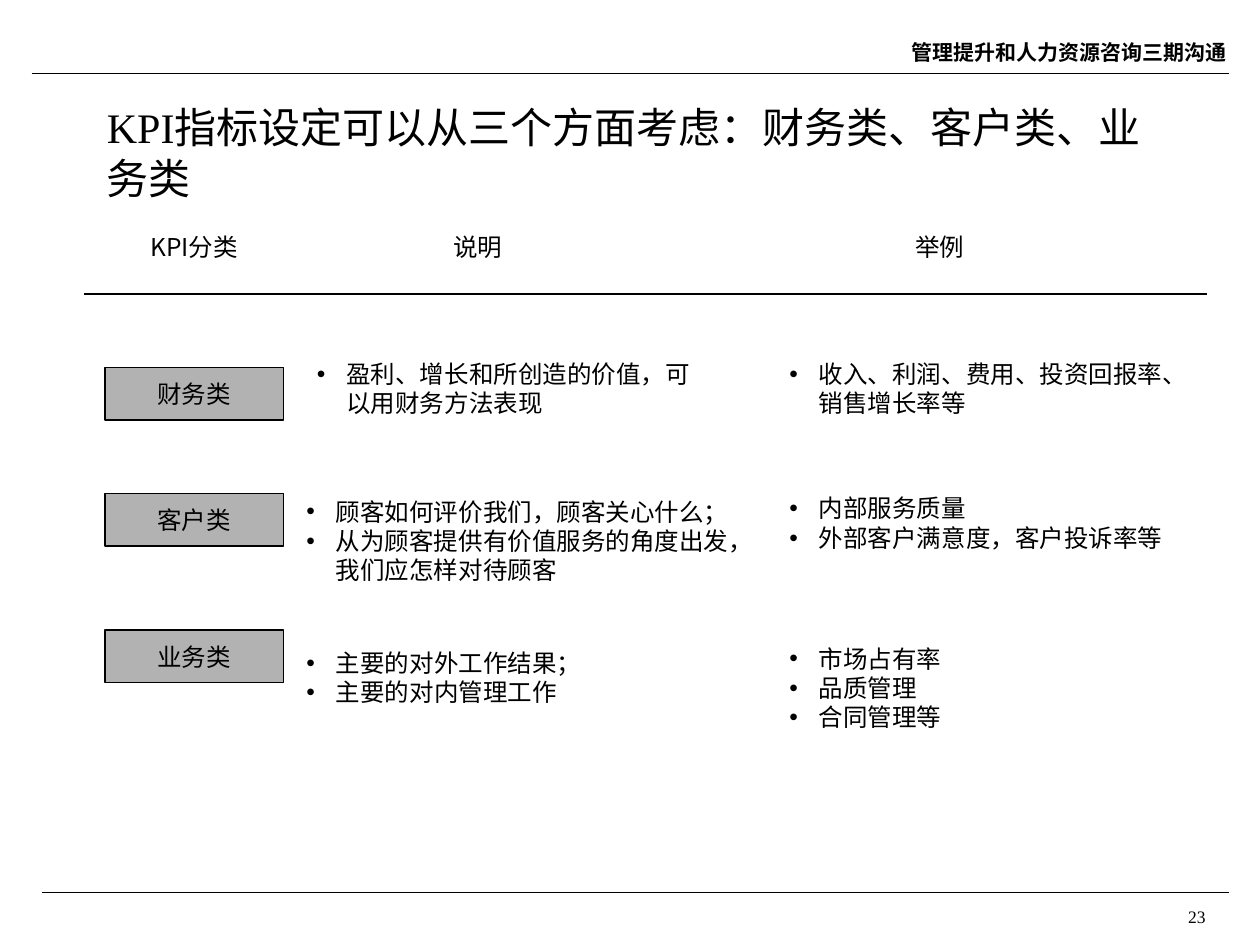
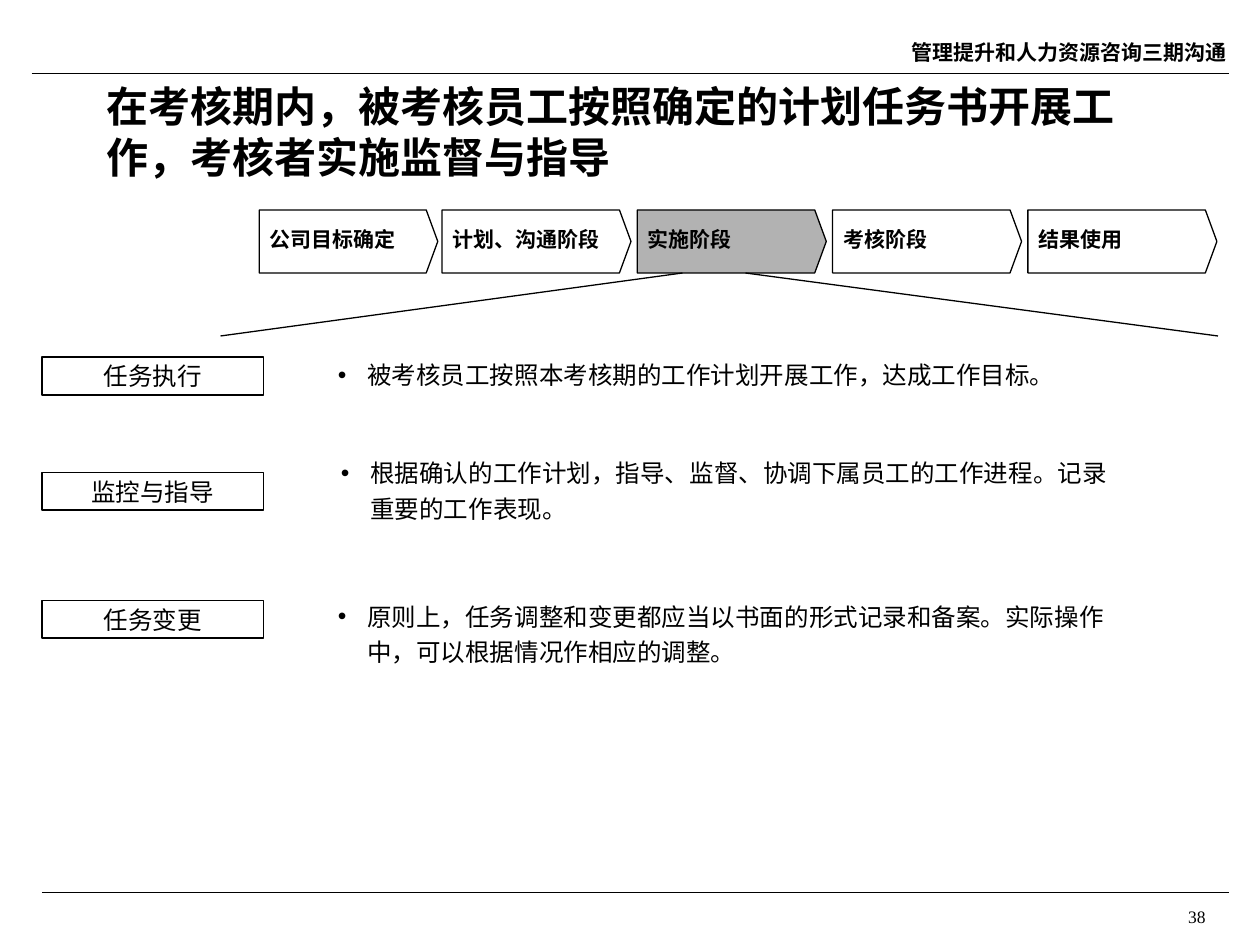
from dataclasses import dataclass

from lxml.etree import SubElement
from pptx import Presentation
from pptx.dml.color import RGBColor
from pptx.enum.shapes import MSO_CONNECTOR, MSO_SHAPE
from pptx.enum.text import MSO_ANCHOR, PP_ALIGN
from pptx.oxml.ns import qn
from pptx.util import Pt

PX = 7620  # EMU per px, 120 px to the inch


@dataclass(frozen=True)
class Theme:
    ink: RGBColor = RGBColor(0, 0, 0)
    accent: RGBColor = RGBColor(0xB2, 0xB2, 0xB2)
    sans: str = "Noto Sans CJK SC"
    serif: str = "Times New Roman"
    latin: str = "Arial"
    title_size: int = 24
    body_size: int = 14
    small_size: int = 12
    page_size: int = 10
    thin: float = 0.75
    medium: float = 1
    bullet_hang: int = 28


class Deck:
    def __init__(self, theme):
        self.theme = theme
        self.presentation = Presentation()
        self.presentation.slide_width = 1200 * PX
        self.presentation.slide_height = 900 * PX
        self.slide = None

    def start_slide(self, title, title_top, page, bold=False):
        theme = self.theme
        self.slide = self.presentation.slides.add_slide(self.presentation.slide_layouts[6])
        # Header and footer
        self.line(40, 850, 1170, 850)
        self.text((810, 20, 370, 60), ["管理提升和人力资源咨询三期沟通"],
                  size=theme.small_size, bold=True, align=PP_ALIGN.RIGHT)
        self.line(30, 70, 1170, 70)
        self.text((850, 857, 310, 23), [page], font=theme.serif, size=theme.page_size,
                  align=PP_ALIGN.RIGHT, anchor=MSO_ANCHOR.TOP)
        # Title
        self.text((90, title_top, 1020, 90), [title], font=theme.serif,
                  size=theme.title_size, bold=bold)

    def line(self, x1, y1, x2, y2):
        connector = self.slide.shapes.add_connector(
            MSO_CONNECTOR.STRAIGHT, x1 * PX, y1 * PX, x2 * PX, y2 * PX)
        connector.line.color.rgb = self.theme.ink
        connector.line.width = Pt(self.theme.thin)
        SubElement(connector._element.spPr, qn("a:effectLst"))

    def text(self, box, lines, **style):
        shape = self.slide.shapes.add_textbox(*(length * PX for length in box))
        self.set_text(shape, lines, **style)

    def label(self, box, text, font, fill=None, width=None):
        shape = self.slide.shapes.add_shape(
            MSO_SHAPE.RECTANGLE, *(length * PX for length in box))
        self.paint(shape, fill, width or self.theme.thin)
        self.set_text(shape, [text], font=font, align=PP_ALIGN.CENTER)

    def stage(self, left, top, width, height, text, fill=None):
        shoulder = left + width - 11
        builder = self.slide.shapes.build_freeform(left, top, scale=PX)
        builder.add_line_segments([
            (shoulder, top), (left + width, top + height // 2),
            (shoulder, top + height), (left, top + height)], close=True)
        shape = builder.convert_to_shape()
        self.paint(shape, fill, self.theme.thin)
        self.set_text(shape, [text], font=self.theme.serif, size=self.theme.small_size,
                      bold=True, insets=(10, 0, 0, 4))

    def paint(self, shape, fill, width):
        shape.shadow.inherit = False
        if fill is None:
            shape.fill.background()
        else:
            shape.fill.solid()
            shape.fill.fore_color.rgb = fill
        shape.line.color.rgb = self.theme.ink
        shape.line.width = Pt(width)

    def set_text(self, shape, lines, font=None, size=None, bold=False, align=PP_ALIGN.LEFT,
                 anchor=MSO_ANCHOR.MIDDLE, insets=(12, 6, 12, 6), bullet=False, spacing=None):
        frame = shape.text_frame
        frame.word_wrap = True
        frame.vertical_anchor = anchor
        (frame.margin_left, frame.margin_top,
         frame.margin_right, frame.margin_bottom) = (inset * PX for inset in insets)
        for index, line in enumerate(lines):
            paragraph = frame.add_paragraph() if index else frame.paragraphs[0]
            paragraph.text = line
            paragraph.alignment = align
            if spacing:
                paragraph.line_spacing = spacing
            if bullet:
                self.add_bullet(paragraph)
            paragraph.font.size = Pt(size or self.theme.body_size)
            paragraph.font.bold = bold
            paragraph.font.color.rgb = self.theme.ink
            paragraph.font.name = font or self.theme.sans
            SubElement(paragraph.font._rPr, qn("a:ea"), typeface=self.theme.sans)

    def add_bullet(self, paragraph):
        properties = paragraph._p.get_or_add_pPr()
        hang = self.theme.bullet_hang * PX
        properties.set("marL", str(hang))
        properties.set("indent", str(-hang))
        color = SubElement(properties, qn("a:buClr"))
        SubElement(color, qn("a:srgbClr"), val=str(self.theme.ink))
        SubElement(properties, qn("a:buFont"), typeface=self.theme.latin)
        SubElement(properties, qn("a:buChar"), char="•")


def build_kpi_slide(deck):
    theme = deck.theme
    deck.start_slide("KPI指标设定可以从三个方面考虑：财务类、客户类、业务类", 100, "23")

    # Column heads
    for left, head in ((100, "KPI分类"), (370, "说明"), (810, "举例")):
        deck.text((left, 210, 170, 50), [head], align=PP_ALIGN.CENTER)
    deck.line(80, 280, 1150, 280)

    # Categories
    for top, category in ((350, "财务类"), (470, "客户类"), (600, "业务类")):
        deck.label((100, top, 170, 50), category, theme.sans, theme.accent)

    # Descriptions and examples
    notes = (
        ((290, 340, 380, 60), ["盈利、增长和所创造的价值，可以用财务方法表现"]),
        ((740, 340, 380, 60), ["收入、利润、费用、投资回报率、销售增长率等"]),
        ((280, 470, 430, 90), ["顾客如何评价我们，顾客关心什么；",
                               "从为顾客提供有价值服务的角度出发，我们应怎样对待顾客"]),
        ((740, 468, 380, 60), ["内部服务质量", "外部客户满意度，客户投诉率等"]),
        ((280, 600, 320, 90), ["主要的对外工作结果；", "主要的对内管理工作"]),
        ((740, 610, 320, 90), ["市场占有率", "品质管理", "合同管理等"]),
    )
    for box, lines in notes:
        deck.text(box, lines, bullet=True)


def build_execution_slide(deck):
    theme = deck.theme
    deck.start_slide("在考核期内，被考核员工按照确定的计划任务书开展工作，考核者实施监督与指导",
                     80, "38", bold=True)

    # Process stages
    deck.stage(247, 200, 170, 60, "公司目标确定")
    for index, name in enumerate(("计划、沟通阶段", "实施阶段", "考核阶段", "结果使用")):
        fill = theme.accent if name == "实施阶段" else None
        deck.stage(421 + 186 * index, 200, 180, 60, name, fill)

    # Lines opening out from the current stage
    deck.line(650, 260, 210, 320)
    deck.line(710, 260, 1160, 320)

    # Tasks
    tasks = (
        (340, "任务执行", (310, 310, 770, 89),
         "被考核员工按照本考核期的工作计划开展工作，达成工作目标。"),
        (450, "监控与指导", (313, 420, 770, 89),
         "根据确认的工作计划，指导、监督、协调下属员工的工作进程。记录重要的工作表现。"),
        (572, "任务变更", (310, 550, 770, 102),
         "原则上，任务调整和变更都应当以书面的形式记录和备案。实际操作中，可以根据情况作相应的调整。"),
    )
    for top, task, box, detail in tasks:
        deck.label((40, top, 211, 36), task, theme.serif, width=theme.medium)
        deck.text(box, [detail], font=theme.latin, bullet=True, spacing=1.2)


def main():
    deck = Deck(Theme())
    build_kpi_slide(deck)
    build_execution_slide(deck)
    deck.presentation.save("out.pptx")


if __name__ == "__main__":
    main()
